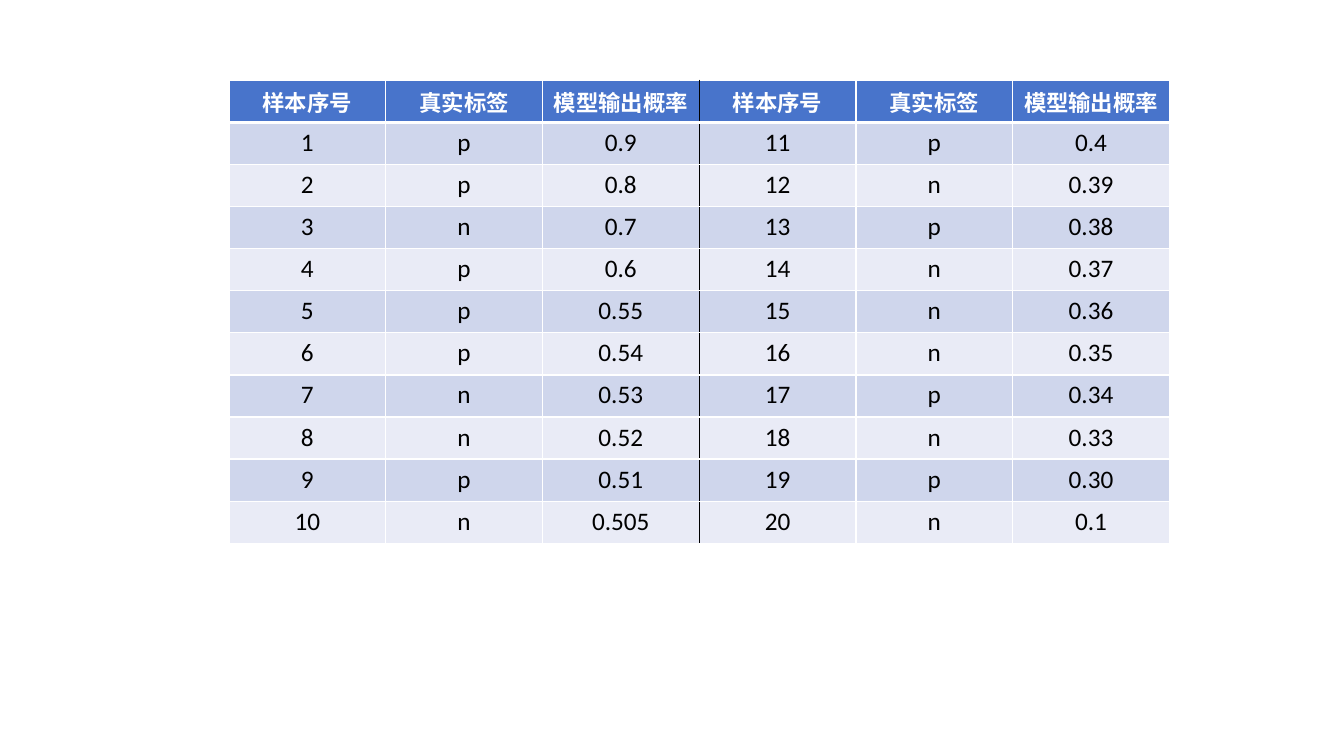
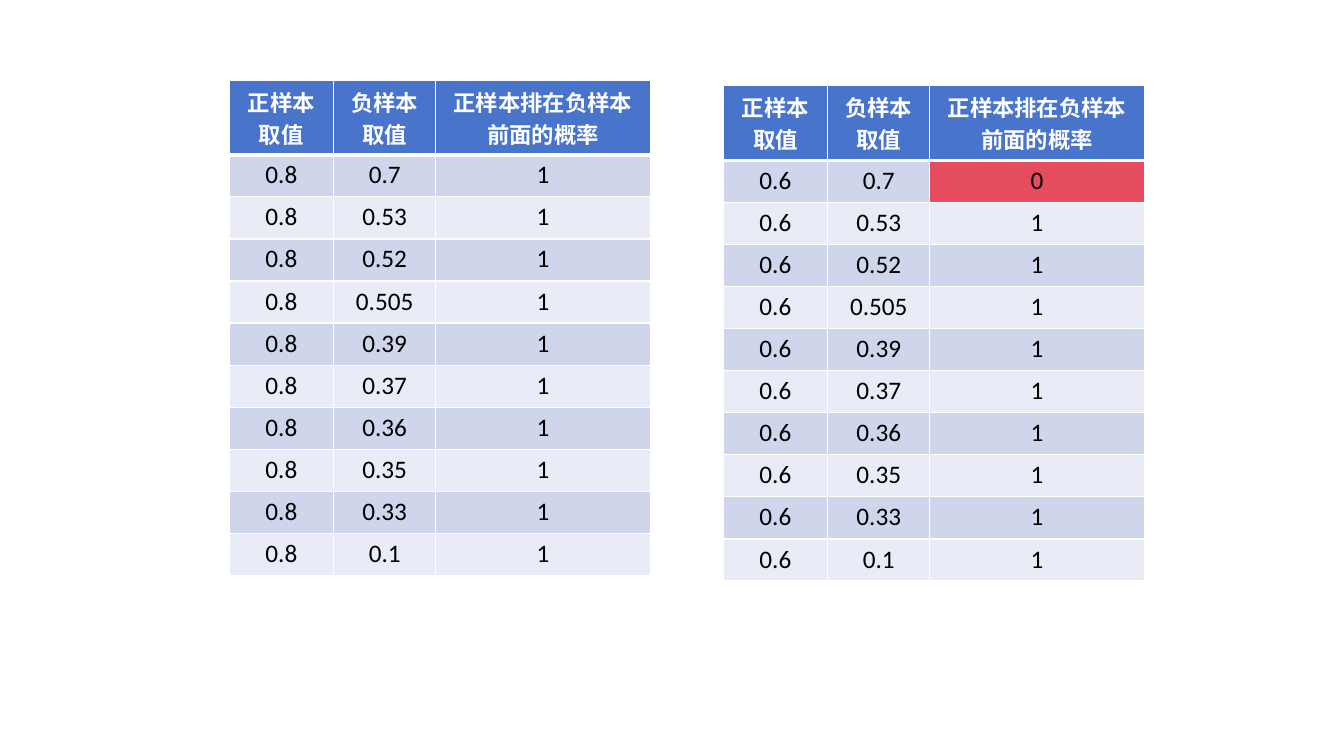
"""Two slides of tables: ranked model outputs, and positive-negative sample pairs."""
from lxml import etree
from pptx import Presentation
from pptx import util as u
from pptx.dml.color import RGBColor
from pptx.enum import text
from pptx.oxml.ns import qn

COLORS = {"header": "4874CB", "odd": "CFD6EC", "even": "E9EBF6",
          "wrong": "E54C5E", "white": "FFFFFF", "black": "000000"}
FONT = "Calibri"
ROW_H = 1.06


def set_border(cell, side, color, width):
    ln = etree.SubElement(cell._tc.get_or_add_tcPr(), qn("a:ln" + side), w=str(u.Pt(width)))
    fill = etree.SubElement(ln, qn("a:solidFill"))
    etree.SubElement(fill, qn("a:srgbClr"), val=COLORS[color])


def add_grid(s, left, top, widths, header_h, rows, divider=None, wrong=()):
    height = header_h + ROW_H * (len(rows) - 1)
    tbl = s.shapes.add_table(len(rows), len(widths), u.Cm(left), u.Cm(top),
                             u.Cm(sum(widths)), u.Cm(height)).table
    for col, width in zip(tbl.columns, widths):
        col.width = u.Cm(width)
    for i, row in enumerate(rows):
        tbl.rows[i].height = u.Cm(ROW_H if i else header_h)
        for j, value in enumerate(row):
            cell = tbl.cell(i, j)
            set_border(cell, "L", "black" if j == divider else "white", 1)
            set_border(cell, "R", "black" if j + 1 == divider else "white", 1)
            set_border(cell, "T", "white", 3 if i == 1 else 1)
            set_border(cell, "B", "white", 3 if i == 0 else 1)
            band = "header" if i == 0 else "odd" if i % 2 else "even"
            cell.fill.solid()
            cell.fill.fore_color.rgb = RGBColor.from_string(
                COLORS["wrong" if (i, j) in wrong else band])
            cell.vertical_anchor = text.MSO_ANCHOR.TOP if i else text.MSO_ANCHOR.MIDDLE
            p = cell.text_frame.paragraphs[0]
            p.text = value
            p.alignment = text.PP_ALIGN.CENTER
            p.font.name = FONT
            p.font.size = u.Pt(18 if i else 16)
            p.font.bold = i == 0
            p.font.color.rgb = RGBColor.from_string(COLORS["black" if i else "white"])


prs = Presentation()
prs.slide_width, prs.slide_height = u.Cm(33.87), u.Cm(19.05)
blank = prs.slide_layouts[6]

labels = "ppnpppnnpnpnpnnnpnpn"
probs = ("0.9 0.8 0.7 0.6 0.55 0.54 0.53 0.52 0.51 0.505 "
         "0.4 0.39 0.38 0.37 0.36 0.35 0.34 0.33 0.30 0.1").split()
samples = [(str(n), label, prob) for n, (label, prob) in enumerate(zip(labels, probs), 1)]

s = prs.slides.add_slide(blank)
rows = [("样本序号", "真实标签", "模型输出概率") * 2]
rows += [a + b for a, b in zip(samples[:10], samples[10:])]
add_grid(s, 5.77, 2.02, [3.95] * 6, ROW_H, rows, divider=3)

s = prs.slides.add_slide(blank)
negatives = [prob for n, label, prob in samples if label == "n"]
for positive, left, top in [("0.8", 5.77, 2.02), ("0.6", 18.22, 2.16)]:
    rows = [("正样本取值", "负样本取值", "正样本排在负样本前面的概率")]
    rows += [(positive, neg, "1" if float(positive) > float(neg) else "0") for neg in negatives]
    wrong = [(i, 2) for i, row in enumerate(rows) if row[2] == "0"]
    add_grid(s, left, top, [2.64, 2.57, 5.41], 1.86, rows, wrong=wrong)

prs.save("out.pptx")
